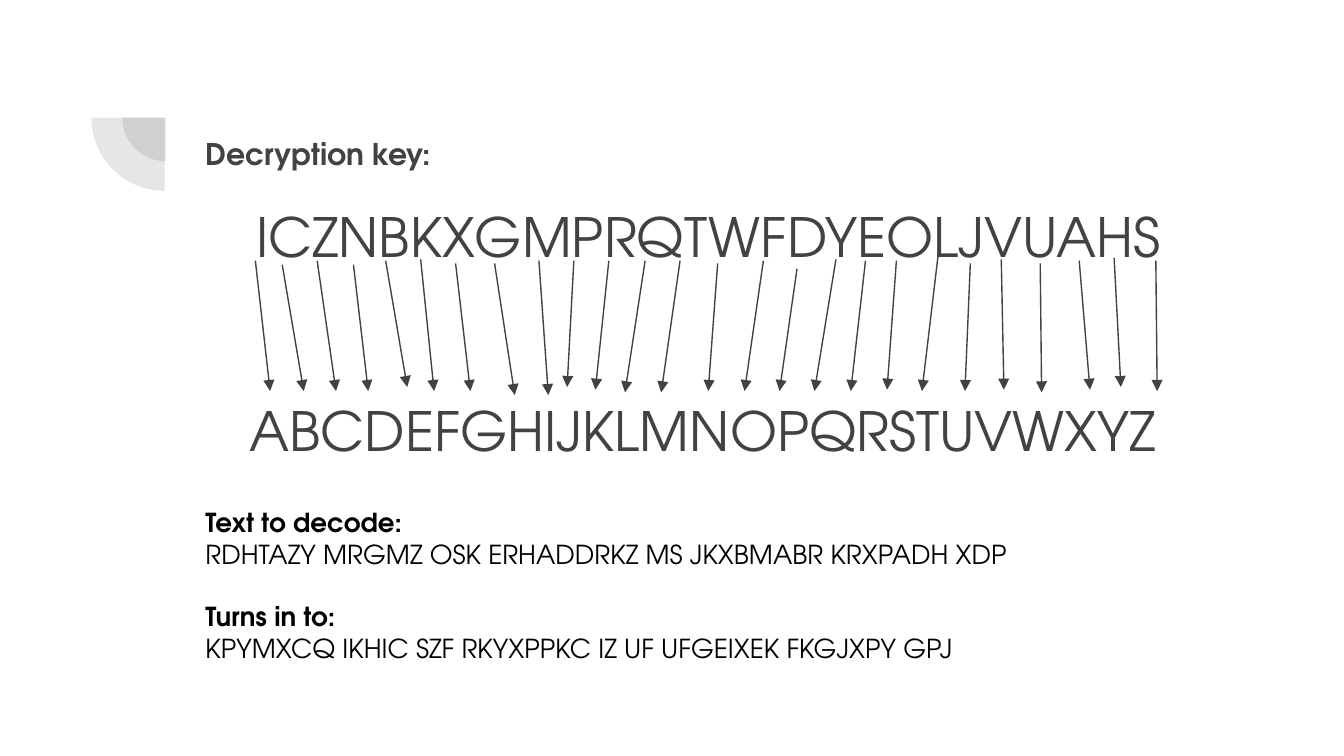
from lxml import etree
from pptx import Presentation
from pptx.dml.color import RGBColor
from pptx.enum import shapes, text
from pptx.oxml.ns import qn
from pptx.util import Pt

PX = 9144
FONT = "TeX Gyre Adventor"
COLORS = {"gray": "424242", "black": "000000"}
ARROWS = [
    (190, 194, 201, 291), (210, 197, 226, 291), (236, 194, 250, 291),
    (263, 197, 274, 291), (287, 194, 303, 288), (313, 193, 323, 291),
    (339, 196, 350, 291), (368, 196, 383, 294), (401, 194, 408, 294),
    (427, 194, 422, 288), (453, 194, 443, 290), (480, 194, 465, 292),
    (506, 194, 492, 292), (534, 196, 527, 291), (568, 194, 554, 291),
    (593, 200, 580, 291), (622, 193, 606, 291), (644, 194, 633, 291),
    (667, 194, 660, 290), (698, 190, 686, 291), (722, 196, 718, 291),
    (745, 193, 747, 290), (774, 196, 775, 292), (803, 194, 811, 290),
    (829, 192, 834, 288), (860, 194, 861, 291),
]


def px(*values):
    return [value * PX for value in values]


def color(name):
    return RGBColor.from_string(COLORS[name])


def add_pie(slide, left, top, size):
    pie = slide.shapes.add_shape(shapes.MSO_SHAPE.PIE, *px(left, top, size, size))
    pie.rotation = 270
    pie.adjustments[0] = 108
    pie.adjustments[1] = 162
    pie.shadow.inherit = False
    pie.line.fill.background()
    pie.fill.solid()
    pie.fill.fore_color.rgb = color("gray")
    tint = pie.fill._xPr.find(".//" + qn("a:srgbClr"))
    etree.SubElement(tint, qn("a:alpha"), val="13000")


def add_box(slide, *place):
    frame = slide.shapes.add_textbox(*px(*place)).text_frame
    frame.word_wrap = True
    frame.margin_left = frame.margin_right = 10 * PX
    frame.margin_top = frame.margin_bottom = 10 * PX
    return frame


def add_line(frame, words, size, ink, bold=False, before=0, space=1):
    line = frame.paragraphs[0]
    if line.text:
        line = frame.add_paragraph()
    line.text = words
    line.space_before = Pt(before)
    line.line_spacing = space
    line.font.name = FONT
    line.font.size = Pt(size)
    line.font.bold = bold
    line.font.color.rgb = color(ink)
    return line


def add_arrow(slide, *ends):
    arrow = slide.shapes.add_connector(shapes.MSO_CONNECTOR.STRAIGHT, *px(*ends))
    arrow.line.color.rgb = color("gray")
    arrow.line.width = Pt(0.75)
    etree.SubElement(arrow.line._get_or_add_ln(), qn("a:tailEnd"), type="triangle")
    etree.SubElement(arrow._element.spPr, qn("a:effectLst"))


def add_key(slide):
    key = add_box(slide, 143, 87, 769, 409)
    add_line(key, "Decryption key:", 16, "gray", bold=True, space=1.15)
    code = add_line(key, "ICZNBKXGMPRQTWFDYEOLJVUAHS", 29, "gray", before=12, space=1.15)
    code.alignment = text.PP_ALIGN.CENTER
    plain = add_line(key, "ABCDEFGHIJKLMNOPQRSTUVWXYZ", 29, "gray", before=64, space=1.15)
    plain._p.get_or_add_pPr().set("marL", str(33 * PX))


def add_sample(slide):
    box = add_box(slide, 143, 367, 829, 209)
    pairs = [
        ("Text to decode:", "RDHTAZY MRGMZ OSK ERHADDRKZ MS JKXBMABR KRXPADH XDP", 0),
        ("Turns in to:", "KPYMXCQ IKHIC SZF RKYXPPKC IZ UF UFGEIXEK FKGJXPY GPJ", 16.8),
    ]
    for label, words, gap in pairs:
        add_line(box, label, 14, "black", bold=True, before=gap)
        add_line(box, words, 14, "black")


def main():
    deck = Presentation()
    deck.slide_width = 1000 * PX
    deck.slide_height = deck.slide_width * 9 // 16
    slide = deck.slides.add_slide(deck.slide_layouts[6])
    add_pie(slide, 91, 55, 65)
    add_pie(slide, 68, 33, 109)
    add_key(slide)
    for ends in ARROWS:
        add_arrow(slide, *ends)
    add_sample(slide)
    deck.save("out.pptx")


if __name__ == "__main__":
    main()
